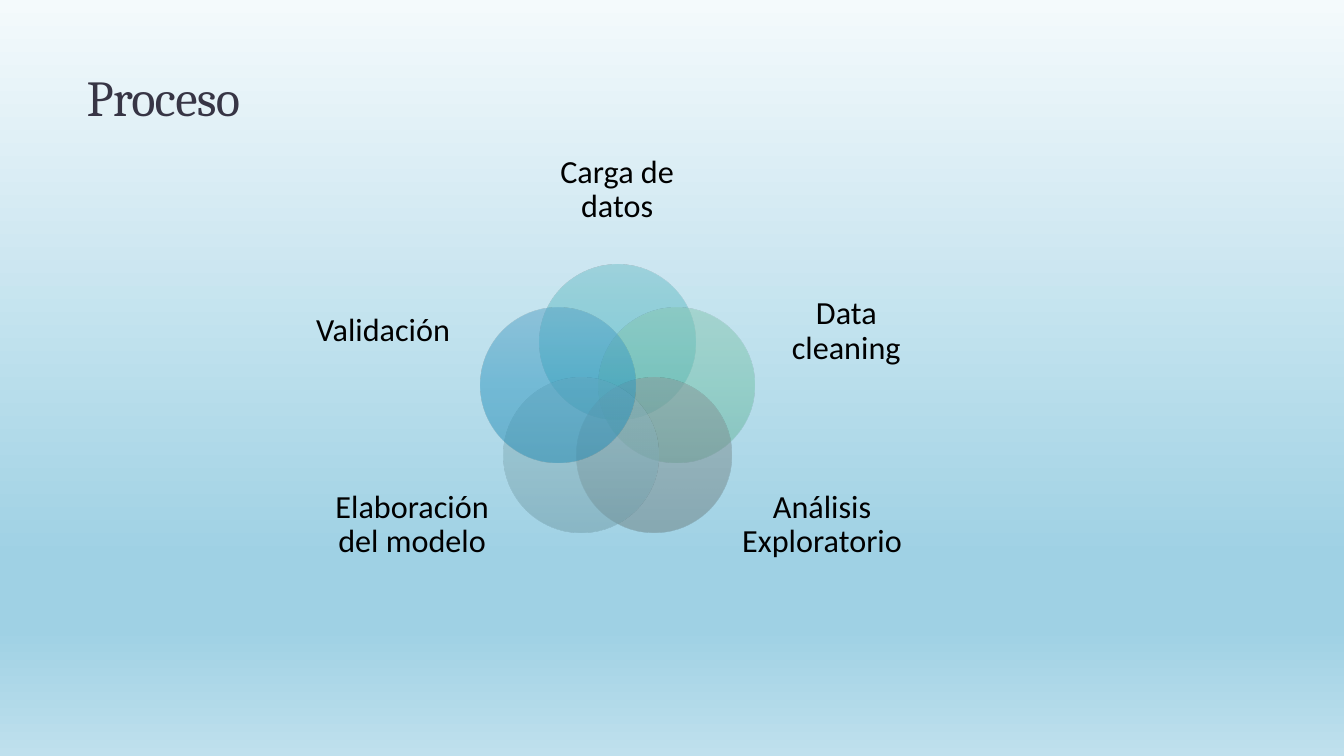
"""Builds the process slide: five overlapping circles in a ring, each with a label."""
import math
from dataclasses import dataclass

from lxml import etree
from pptx import Presentation
from pptx import util as u
from pptx.dml.color import RGBColor
from pptx.enum import shapes, text
from pptx.oxml.ns import qn


@dataclass(frozen=True)
class Theme:
    title_font: str = "Cambria"
    label_font: str = "Calibri"
    title_size: int = 36
    label_size: int = 23
    title_color: str = "373545"
    label_color: str = "000000"
    background: tuple = ((0, "F4FAFC"), (74, "9FD1E4"), (83, "9FD1E4"), (100, "BFE0ED"))
    circles: tuple = (
        ("6FBEC7", "53BAC5", "44AAB5"),
        ("86C5B1", "71C1A8", "61AF97"),
        ("89999A", "798D8F", "6A7E80"),
        ("92B5BE", "82AEB8", "709CA7"),
        ("56A1C4", "2D97C1", "2289B1"),
    )
    opacity: int = 50


class Deck:
    def __init__(self, theme):
        self.theme = theme
        self.prs = Presentation()
        self.prs.slide_width, self.prs.slide_height = u.Cm(33.87), u.Cm(19.05)
        self.s = self.prs.slides.add_slide(self.prs.slide_layouts[5])

    def gradient(self, fill, element, stops, opacity=100):
        fill.gradient()
        fill.gradient_angle = 270
        gs_list = next(element.iter(qn("a:gsLst")))
        for gs in list(gs_list):
            gs_list.remove(gs)
        for pos, color in stops:
            gs = etree.SubElement(gs_list, qn("a:gs"), pos=str(pos * 1000))
            clr = etree.SubElement(gs, qn("a:srgbClr"), val=color)
            if opacity < 100:
                etree.SubElement(clr, qn("a:alpha"), val=str(opacity * 1000))

    def background(self):
        self.gradient(self.s.background.fill, self.s.element, self.theme.background)

    def set_text(self, tf, words, font, size, color, align, spacing):
        tf.word_wrap = True
        tf.auto_size = text.MSO_AUTO_SIZE.NONE
        p = tf.paragraphs[0]
        p.text = words
        p.alignment, p.line_spacing = align, spacing
        p.font.name, p.font.size = font, u.Pt(size)
        p.font.color.rgb = RGBColor.from_string(color)

    def title(self, words, x, y, w, h):
        sp, t = self.s.shapes.title, self.theme
        sp.left, sp.top, sp.width, sp.height = (u.Cm(v) for v in (x, y, w, h))
        sp.text_frame.vertical_anchor = text.MSO_ANCHOR.BOTTOM
        self.set_text(sp.text_frame, words, t.title_font, t.title_size,
                      t.title_color, text.PP_ALIGN.LEFT, 0.8)
        r = sp.text_frame.paragraphs[0].runs[0]
        r._r.get_or_add_rPr().set("spc", "-50")

    def circle(self, cx, cy, diameter, colors):
        box = (cx - diameter / 2, cy - diameter / 2, diameter, diameter)
        sp = self.s.shapes.add_shape(shapes.MSO_SHAPE.OVAL, *(u.Cm(v) for v in box))
        sp.shadow.inherit = False
        sp.line.fill.background()
        self.gradient(sp.fill, sp.element, zip((0, 50, 100), colors), self.theme.opacity)

    def label(self, words, x, y, w, h):
        t = self.theme
        tf = self.s.shapes.add_textbox(*(u.Cm(v) for v in (x, y, w, h))).text_frame
        tf.margin_left = tf.margin_right = tf.margin_top = tf.margin_bottom = 0
        tf.vertical_anchor = text.MSO_ANCHOR.MIDDLE
        self.set_text(tf, words, t.label_font, t.label_size,
                      t.label_color, text.PP_ALIGN.CENTER, 0.9)


def main():
    deck = Deck(Theme())
    deck.background()
    deck.title("Proceso", 1.93, 0.33, 6.22, 2.97)

    center_x, center_y, ring_radius, diameter = 15.56, 10.19, 1.57, 3.91
    side_w, side_h, upper_y, lower_y = 4.06, 2.84, 6.93, 11.81
    steps = (
        ("Carga de datos", 13.28, 3.48, 4.55, 2.62),
        ("Data cleaning", 19.3, upper_y, side_w, side_h),
        ("Análisis Exploratorio", 18.69, lower_y, side_w, side_h),
        ("Elaboración del modelo", 8.36, lower_y, side_w, side_h),
        ("Validación ", 7.72, upper_y, side_w, side_h),
    )
    for i, (step, colors) in enumerate(zip(steps, deck.theme.circles)):
        angle = math.tau * i / len(steps)
        deck.circle(center_x + ring_radius * math.sin(angle),
                    center_y - ring_radius * math.cos(angle), diameter, colors)
        deck.label(*step)
    deck.prs.save("out.pptx")


if __name__ == "__main__":
    main()
